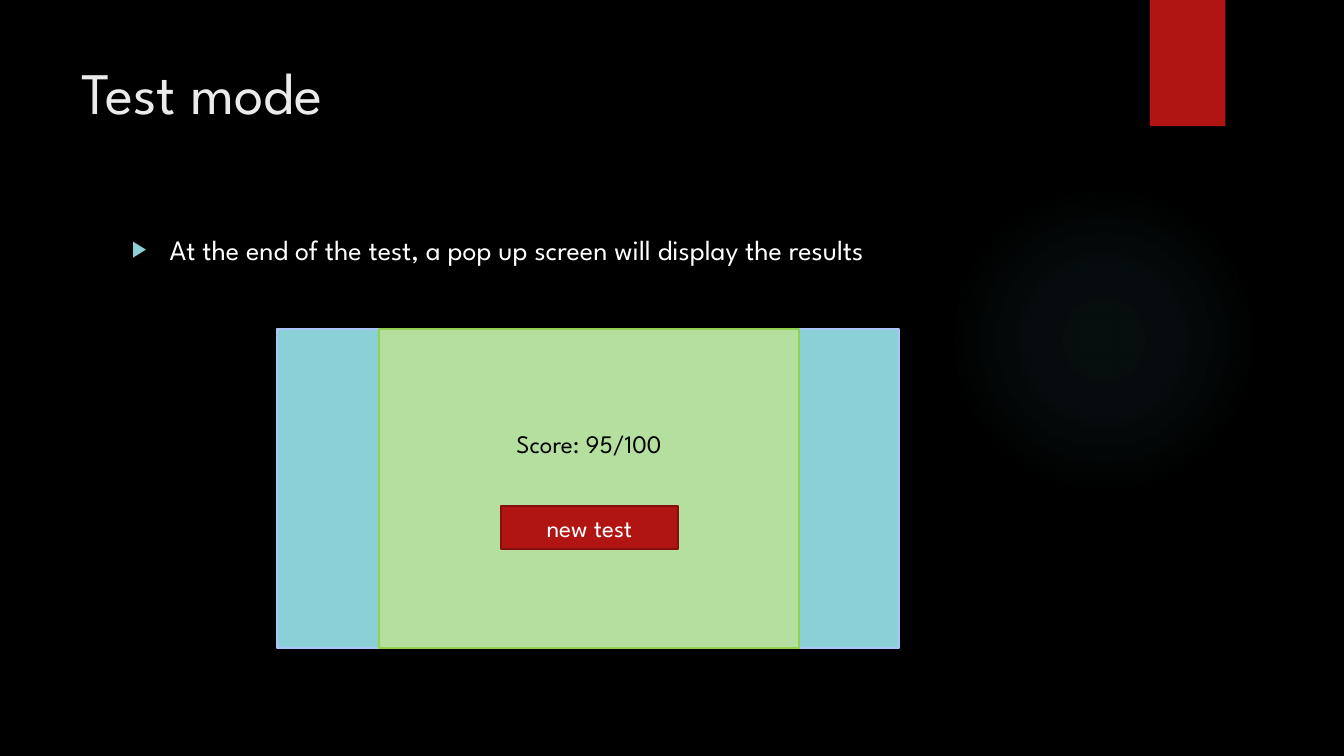
from dataclasses import dataclass

from lxml import etree
from pptx import Presentation
from pptx.dml.color import RGBColor
from pptx.enum.shapes import MSO_SHAPE
from pptx.enum.text import MSO_ANCHOR, MSO_AUTO_SIZE, PP_ALIGN
from pptx.oxml import parse_xml
from pptx.oxml.ns import nsdecls, qn
from pptx.util import Cm, Pt

RECTANGLE = MSO_SHAPE.RECTANGLE
OVAL = MSO_SHAPE.OVAL
TOP, MIDDLE = MSO_ANCHOR.TOP, MSO_ANCHOR.MIDDLE
LEFT, CENTER = PP_ALIGN.LEFT, PP_ALIGN.CENTER
NO_AUTOFIT = MSO_AUTO_SIZE.NONE


@dataclass(frozen=True)
class Theme:
    font: str = "League Spartan"
    background: str = "000000"
    heading: str = "EBEBEB"
    light: str = "FFFFFF"
    dark: str = "000000"
    red: str = "B01513"
    red_edge: str = "82100E"
    blue: str = "8AD0D6"
    blue_edge: str = "A8C6FA"
    green: str = "B5DF9F"
    green_edge: str = "92D050"
    glow: str = "50B9C1"
    title_size: float = 42
    body_size: float = 20
    label_size: float = 18
    edge_width: float = 1.5


THEME = Theme()


@dataclass(frozen=True)
class Frame:
    """Left, top, width and height in centimetres."""
    left: float
    top: float
    width: float
    height: float


@dataclass(frozen=True)
class Panel:
    frame: Frame
    fill: str
    edge: str | None = None
    text: str = ""
    color: str = THEME.light
    bottom_inset: float = 0.13


RIBBON = Panel(Frame(28.98, 0, 1.9, 3.18), THEME.red)
POPUP_PANELS = (
    Panel(Frame(6.99, 8.28, 15.67, 8.05), THEME.blue, THEME.blue_edge),
    Panel(Frame(9.55, 8.28, 10.59, 8.05), THEME.green, THEME.green_edge,
          "Score: 95/100", THEME.dark, bottom_inset=2.41),
    Panel(Frame(12.62, 12.75, 4.47, 1.09), THEME.red, THEME.red_edge, "new test"),
)
GLOW_FRAME = Frame(23.9, 4.65, 7.82, 7.82)
GLOW_STOPS = ((0, 7), (36, 6), (69, 0))


def lengths(frame: Frame) -> tuple:
    return Cm(frame.left), Cm(frame.top), Cm(frame.width), Cm(frame.height)


def write_text(box, text: str, *, size: float, color: str, align=LEFT, anchor=TOP):
    """Fill the box with one formatted paragraph and return the paragraph."""
    frame = box.text_frame
    frame.word_wrap = True
    frame.auto_size = NO_AUTOFIT
    frame.vertical_anchor = anchor
    para = frame.paragraphs[0]
    para.alignment = align
    para.space_before = Pt(0)
    span = para.add_run()
    span.text = text
    span.font.name = THEME.font
    span.font.size = Pt(size)
    span.font.color.rgb = RGBColor.from_string(color)
    return para


def place(box, frame: Frame) -> None:
    box.left, box.top, box.width, box.height = lengths(frame)


def add_bullet(para) -> None:
    properties = para._p.get_or_add_pPr()
    indent = Cm(0.95)
    properties.set("marL", str(indent))
    properties.set("indent", str(-indent))
    color = etree.SubElement(properties, qn("a:buClr"))
    etree.SubElement(color, qn("a:srgbClr"), val=THEME.blue)
    etree.SubElement(properties, qn("a:buSzPct"), val="80000")
    etree.SubElement(properties, qn("a:buFont"), typeface="Arial")
    etree.SubElement(properties, qn("a:buChar"), char="▶")


def add_panel(page, panel: Panel):
    box = page.shapes.add_shape(RECTANGLE, *lengths(panel.frame))
    box.shadow.inherit = False
    box.fill.solid()
    box.fill.fore_color.rgb = RGBColor.from_string(panel.fill)
    if panel.edge:
        box.line.color.rgb = RGBColor.from_string(panel.edge)
        box.line.width = Pt(THEME.edge_width)
    else:
        box.line.fill.background()
    if panel.text:
        write_text(box, panel.text, size=THEME.label_size, color=panel.color,
                   align=CENTER, anchor=MIDDLE)
        box.text_frame.margin_bottom = Cm(panel.bottom_inset)
    return box


def add_drop_shadow(box) -> None:
    effects = box._element.spPr.find(qn("a:effectLst"))
    effects.append(parse_xml(
        f'<a:outerShdw {nsdecls("a")} blurRad="{Pt(3)}" dist="{Pt(2)}" dir="5400000">'
        '<a:srgbClr val="000000"><a:alpha val="45000"/></a:srgbClr></a:outerShdw>'))


def add_glow(page) -> None:
    """Draw the round light that fades out from its centre."""
    glow = page.shapes.add_shape(OVAL, *lengths(GLOW_FRAME))
    glow.shadow.inherit = False
    glow.line.fill.background()
    stops = "".join(
        f'<a:gs pos="{position * 1000}"><a:srgbClr val="{THEME.glow}">'
        f'<a:alpha val="{opacity * 1000}"/></a:srgbClr></a:gs>'
        for position, opacity in GLOW_STOPS)
    gradient = parse_xml(
        f'<a:gradFill {nsdecls("a")}><a:gsLst>{stops}</a:gsLst><a:path path="circle">'
        '<a:fillToRect l="50000" t="50000" r="50000" b="50000"/></a:path></a:gradFill>')
    glow._element.spPr.find(qn("a:prstGeom")).addnext(gradient)


def main() -> None:
    deck = Presentation()
    deck.slide_width, deck.slide_height = Cm(33.87), Cm(19.05)
    page = deck.slides.add_slide(deck.slide_layouts[1])
    page.background.fill.solid()
    page.background.fill.fore_color.rgb = RGBColor.from_string(THEME.background)

    add_glow(page)
    add_drop_shadow(add_panel(page, RIBBON))

    title, body = page.shapes.title, page.placeholders[1]
    place(title, Frame(1.8, 1.27, 26.14, 3.89))
    write_text(title, "Test mode", size=THEME.title_size, color=THEME.heading)
    place(body, Frame(3.07, 5.72, 24.84, 11.66))
    add_bullet(write_text(
        body, "At the end of the test, a pop up screen will display the results",
        size=THEME.body_size, color=THEME.light))

    for panel in POPUP_PANELS:
        add_panel(page, panel)
    deck.save("out.pptx")


if __name__ == "__main__":
    main()
